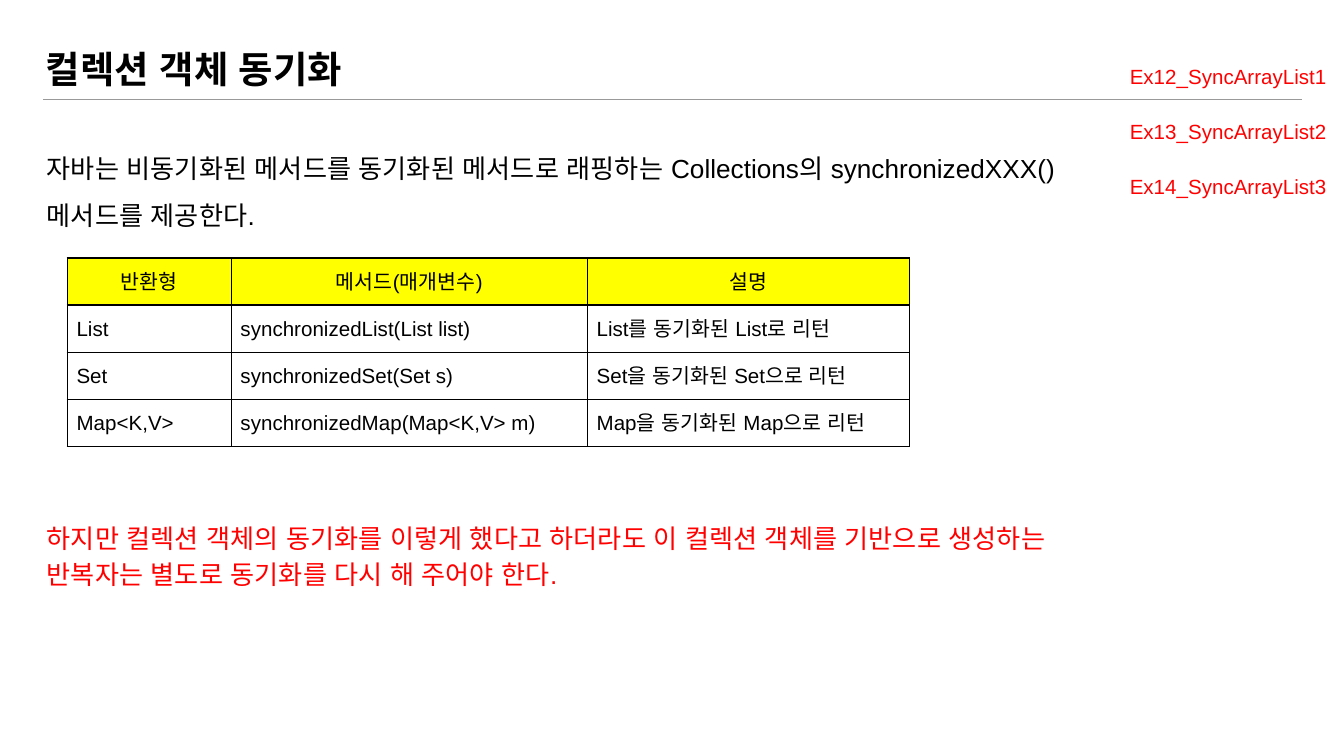
from lxml.etree import SubElement
from pptx import Presentation
from pptx.dml.color import RGBColor
from pptx.enum.shapes import MSO_CONNECTOR
from pptx.enum.text import MSO_ANCHOR, MSO_AUTO_SIZE, PP_ALIGN
from pptx.oxml import parse_xml
from pptx.oxml.ns import nsdecls, qn
from pptx.util import Inches, Pt

# Content
TITLE = "컬렉션 객체 동기화"
EXAMPLES = ["Ex12_SyncArrayList1", "Ex13_SyncArrayList2", "Ex14_SyncArrayList3"]
INTRO = ("자바는 비동기화된 메서드를 동기화된 메서드로 래핑하는 "
         "Collections의 synchronizedXXX() 메서드를 제공한다.")
METHODS = [
    ("반환형", "메서드(매개변수)", "설명"),
    ("List", "synchronizedList(List list)", "List를 동기화된 List로 리턴"),
    ("Set", "synchronizedSet(Set s)", "Set을 동기화된 Set으로 리턴"),
    ("Map<K,V>", "synchronizedMap(Map<K,V> m)", "Map을 동기화된 Map으로 리턴"),
]
CAUTION = ("하지만 컬렉션 객체의 동기화를 이렇게 했다고 하더라도 이 컬렉션 객체를 "
           "기반으로 생성하는 반복자는 별도로 동기화를 다시 해 주어야 한다.")

# Style
BLACK = RGBColor(0x00, 0x00, 0x00)
RED = RGBColor(0xFF, 0x00, 0x00)
YELLOW = RGBColor(0xFF, 0xFF, 0x00)
GRAY = RGBColor(0x99, 0x99, 0x99)
BODY_FONT = "Arial"
TITLE_FONT = "Noto Sans CJK KR"
COLUMN_WIDTHS = [1.22, 2.65, 2.4]
ROW_HEIGHT = 0.35


def write(frame, text, size=11, color=BLACK, font=BODY_FONT, bold=False,
          align=PP_ALIGN.LEFT, spacing=1.15):
    paragraph = frame.paragraphs[0]
    paragraph.alignment = align
    paragraph.line_spacing = spacing
    run = paragraph.add_run()
    run.text = text
    run.font.size = Pt(size)
    run.font.bold = bold
    run.font.color.rgb = color
    run.font.name = font
    SubElement(run.font._element, qn("a:ea"), typeface=BODY_FONT)


def set_frame(frame, anchor=MSO_ANCHOR.TOP):
    frame.margin_left = frame.margin_right = Inches(0.1)
    frame.margin_top = frame.margin_bottom = Inches(0.1)
    frame.word_wrap = True
    frame.auto_size = MSO_AUTO_SIZE.NONE
    frame.vertical_anchor = anchor


def add_text(left, top, width, height, text, **style):
    box = slide.shapes.add_textbox(*map(Inches, (left, top, width, height)))
    set_frame(box.text_frame)
    write(box.text_frame, text, **style)


def add_borders(cell):
    properties = cell._tc.get_or_add_tcPr()
    for position, side in enumerate(("lnL", "lnR", "lnT", "lnB")):
        properties.insert(position, parse_xml(
            f'<a:{side} {nsdecls("a")} w="{Pt(0.75)}"><a:solidFill>'
            f'<a:srgbClr val="{BLACK}"/></a:solidFill></a:{side}>'))


# Widescreen 16:9 slide
presentation = Presentation()
presentation.slide_width = Inches(10)
presentation.slide_height = Inches(10 * 9 / 16)
slide = presentation.slides.add_slide(presentation.slide_layouts[5])

# Title and rule
title = slide.shapes.title
title.left, title.top = Inches(0.24), Inches(0.24)
title.width, title.height = Inches(8.22), Inches(0.54)
set_frame(title.text_frame, MSO_ANCHOR.MIDDLE)
write(title.text_frame, TITLE, size=20, font=TITLE_FONT, bold=True, spacing=1.0)

rule = slide.shapes.add_connector(
    MSO_CONNECTOR.STRAIGHT, Inches(0.32), Inches(0.74), Inches(9.69), Inches(0.74))
rule.line.color.rgb = GRAY
rule.line.width = Pt(0.75)
SubElement(rule._element.spPr, qn("a:effectLst"))

# Example names
for index, example in enumerate(EXAMPLES):
    add_text(6.69, 0.35 + 0.41 * index, 3.28, 0.39, example,
             color=RED, align=PP_ALIGN.RIGHT)

# Explanation and caution
add_text(0.25, 0.92, 7.85, 0.79, INTRO, size=14, spacing=1.5)
add_text(0.25, 3.75, 7.79, 0.71, CAUTION, size=14, color=RED)

# Method table
methods = slide.shapes.add_table(
    len(METHODS), len(COLUMN_WIDTHS), Inches(0.5), Inches(1.92),
    Inches(sum(COLUMN_WIDTHS)), Inches(ROW_HEIGHT * len(METHODS))).table
for column, width in zip(methods.columns, COLUMN_WIDTHS):
    column.width = Inches(width)
for row_index, values in enumerate(METHODS):
    is_header = row_index == 0
    for column_index, value in enumerate(values):
        cell = methods.cell(row_index, column_index)
        cell.margin_left = cell.margin_right = Inches(0.07)
        cell.margin_top = cell.margin_bottom = Inches(0.07)
        if is_header:
            cell.fill.solid()
            cell.fill.fore_color.rgb = YELLOW
        else:
            cell.fill.background()
        add_borders(cell)
        write(cell.text_frame, value,
              align=PP_ALIGN.CENTER if is_header else PP_ALIGN.LEFT)

presentation.save("out.pptx")
